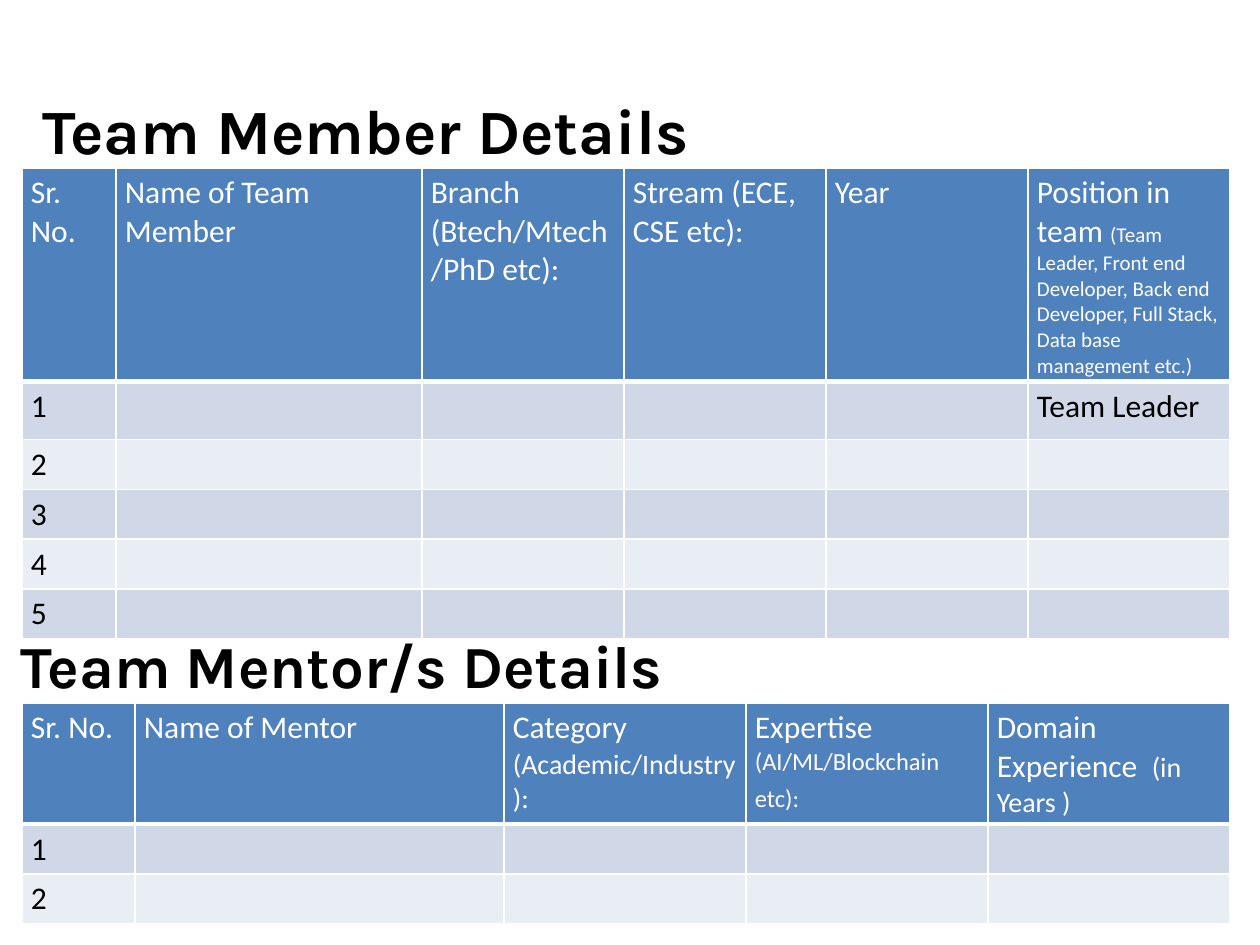
from lxml import etree
from pptx import Presentation, util as u
from pptx.dml.color import RGBColor
from pptx.enum import text
from pptx.oxml import ns

SCALE = 914400 / 126  # EMU per px

WHITE = RGBColor(0xFF, 0xFF, 0xFF)
BLACK = RGBColor(0x00, 0x00, 0x00)
HEADER_BLUE = RGBColor(0x4F, 0x81, 0xBD)
BANDS = [RGBColor(0xD0, 0xD8, 0xE8), RGBColor(0xE9, 0xED, 0xF4)]

# Each header cell is a list of (text, size) runs
MEMBER_HEADER = [
    [("Sr. No.", 18)],
    [("Name of Team Member", 18)],
    [("Branch (Btech/Mtech/PhD etc):", 18)],
    [("Stream (ECE, CSE etc):", 18)],
    [("Year", 18)],
    [("Position in team ", 18),
     ("(Team Leader, Front end Developer, Back end Developer, "
      "Full Stack, Data base management etc.)", 12)],
]
MENTOR_HEADER = [
    [("Sr. No.", 18)],
    [("Name of Mentor", 18)],
    [("Category ", 18), ("(Academic/Industry):", 16)],
    [("Expertise ", 18), ("(AI/ML/Blockchain etc):", 14), (" ", 18)],
    [("Domain Experience  ", 18), ("(in Years )", 16)],
]


def px(value):
    return u.Emu(round(value * SCALE))


def set_attributes(target, values):
    for name, value in values.items():
        setattr(target, name, value)


def add_run(paragraph, content, size, color, font_name="Calibri", bold=False):
    run = paragraph.add_run()
    run.text = content
    set_attributes(run.font, {"name": font_name, "size": u.Pt(size), "bold": bold})
    run.font.color.rgb = color


def add_heading(slide, content, box, size, line_spacing):
    frame = slide.shapes.add_textbox(*map(px, box)).text_frame
    set_attributes(frame, {
        "word_wrap": True, "vertical_anchor": text.MSO_ANCHOR.BOTTOM,
        "margin_left": 0, "margin_top": 0, "margin_right": 0, "margin_bottom": 0,
    })
    paragraph = frame.paragraphs[0]
    paragraph.line_spacing = line_spacing
    add_run(paragraph, content, size, BLACK, "Karla", True)


def set_borders(cell, bottom_width):
    properties = cell._tc.get_or_add_tcPr()
    for side, width in (("L", 1), ("R", 1), ("T", 1), ("B", bottom_width)):
        line = etree.SubElement(properties, ns.qn(f"a:ln{side}"), w=str(u.Pt(width)))
        fill = etree.SubElement(line, ns.qn("a:solidFill"))
        etree.SubElement(fill, ns.qn("a:srgbClr"), val=str(WHITE))


def format_cell(cell, runs, fill, color, bottom_width=1):
    set_attributes(cell, {
        "margin_left": px(9), "margin_right": px(9),
        "margin_top": px(6), "margin_bottom": px(6),
    })
    set_borders(cell, bottom_width)
    cell.fill.solid()
    cell.fill.fore_color.rgb = fill
    for content, size in runs:
        add_run(cell.text_frame.paragraphs[0], content, size, color)


def add_details_table(slide, left, top, widths, heights, header, body):
    table = slide.shapes.add_table(
        len(heights), len(widths), px(left), px(top),
        px(sum(widths)), px(sum(heights))).table
    set_attributes(table, {"first_row": False, "horz_banding": False})
    for column, width in zip(table.columns, widths):
        column.width = px(width)
    for row, height in zip(table.rows, heights):
        row.height = px(height)

    # Header row
    for index, runs in enumerate(header):
        format_cell(table.cell(0, index), runs, HEADER_BLUE, WHITE, 3)

    # Numbered rows in alternating bands
    for number in range(1, len(heights)):
        for index in range(len(widths)):
            content = str(number) if index == 0 else body.get((number, index))
            runs = [(content, 18)] if content else []
            format_cell(table.cell(number, index), runs, BANDS[(number - 1) % 2], BLACK)


def main():
    presentation = Presentation()
    set_attributes(presentation, {"slide_width": px(1260), "slide_height": px(945)})
    slide = presentation.slides.add_slide(presentation.slide_layouts[6])

    # Team members
    add_heading(slide, "Team Member Details", (42, 84, 684, 84), 36, 0.9)
    add_details_table(slide, 22, 168, [94, 306] + [202] * 4, [203, 58] + [48] * 4,
                      MEMBER_HEADER, {(1, 5): "Team Leader"})

    # Mentors
    add_details_table(slide, 22, 703, [113, 369] + [242] * 3, [105, 44, 44],
                      MENTOR_HEADER, {})
    add_heading(slide, "Team Mentor/s Details", (21, 640, 649, 59), 34.1, 0.7)

    presentation.save("out.pptx")


if __name__ == "__main__":
    main()
